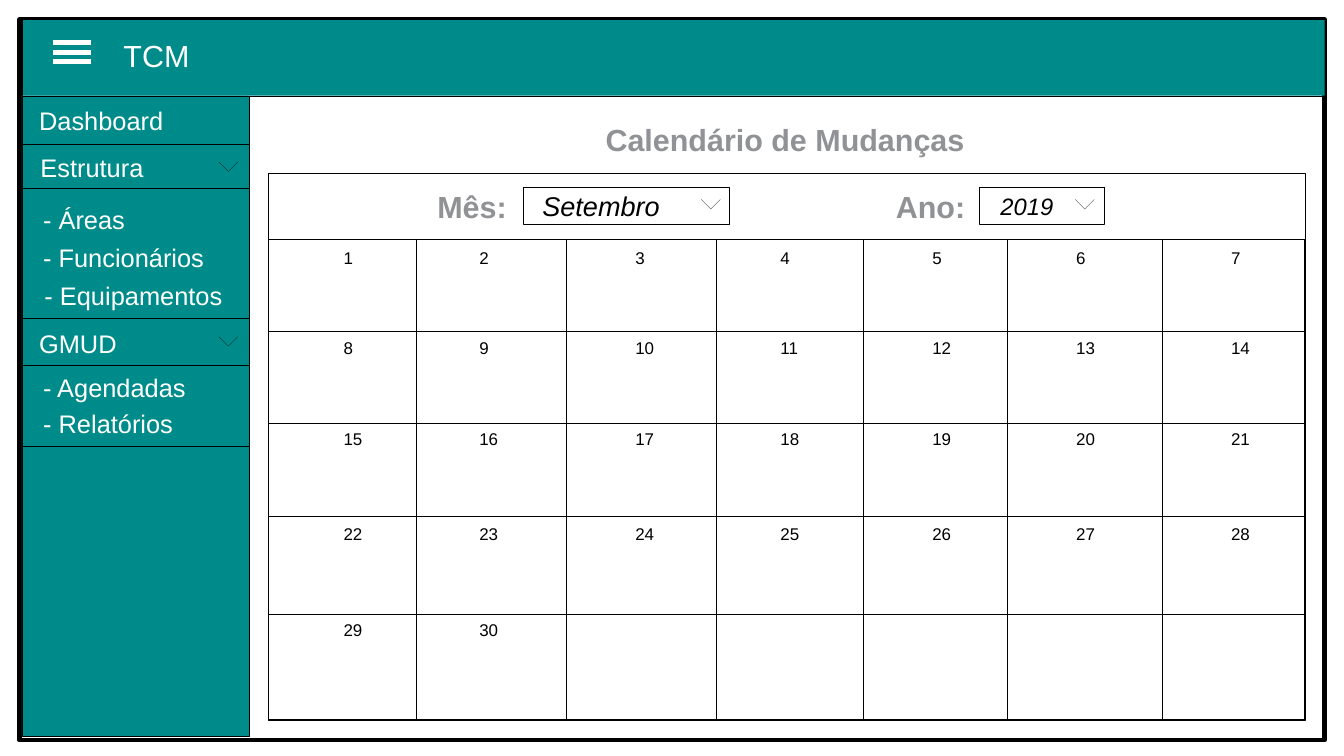
from dataclasses import dataclass

from lxml import etree
from pptx import Presentation
from pptx.dml.color import RGBColor
from pptx.enum import shapes, text
from pptx.oxml import ns
from pptx.util import Pt

TEAL = RGBColor(0x00, 0x8B, 0x8B)
BLACK = RGBColor(0, 0, 0)
WHITE = RGBColor(0xFF, 0xFF, 0xFF)
GREY = RGBColor(0x90, 0x92, 0x95)
FONT = "Arial"
HAIRLINE = 0.1
THICK = 2.83
GRID_LINE = 0.5


@dataclass
class Box:
    x: float
    y: float
    w: float
    h: float
    fill: RGBColor | None = None
    line: float = HAIRLINE


@dataclass
class Label:
    text: str
    x: float
    y: float
    w: float
    size: float = 15
    color: RGBColor = WHITE
    bold: bool = False
    italic: bool = False


@dataclass
class Chevron:
    x: float
    y: float


BOXES = [
    Box(11.5, 11.5, 770.5, 425.5, line=THICK),
    Box(13, 11.5, 769, 45, TEAL),
    Box(13, 56.5, 134.2, 378, TEAL),
    Box(158.4, 102, 612, 323),
    Box(308.9, 110.2, 121.7, 22.3),
    Box(578.2, 110.2, 73.4, 22.3),
]
MENU_DIVIDERS = [85, 110.9, 187.9, 215.3, 263.5]
BURGER_BARS = [25.2, 30.8, 36.2]
LABELS = [
    Label("TCM", 65.8, 18.4, 54, 18),
    Label("Dashboard", 16, 58.5, 90),
    Label("Estrutura", 16.8, 86.5, 78),
    Label("- Áreas", 18.4, 117.2, 66),
    Label("- Funcionários", 18.4, 139.6, 114),
    Label("- Equipamentos", 19.2, 162, 124),
    Label("GMUD", 16, 190, 66),
    Label("- Agendadas", 18.4, 216.2, 102),
    Label("- Relatórios", 18.4, 237.4, 98),
    Label("Calendário de Mudanças", 350.4, 67.9, 234, 18, GREY, bold=True),
    Label("Mês:", 251.1, 107.7, 66.2, 18, GREY, bold=True),
    Label("Ano:", 521.8, 107.7, 66.2, 18, GREY, bold=True),
    Label("Setembro", 313.2, 108.5, 88, 16, BLACK, italic=True),
    Label("2019", 583.6, 110, 50, 14, BLACK, italic=True),
]
CHEVRONS = [
    Chevron(129.2, 95.6),
    Chevron(129.2, 198.8),
    Chevron(414, 117.8),
    Chevron(634.8, 117.8),
]
COLUMN_EDGES = [158.4, 246, 334.5, 422.8, 510, 595, 686, 770.4]
ROW_EDGES = [141.5, 195.6, 249.9, 304.9, 362.7, 424.8]
DAY_LEFTS = [202.8, 283, 375.1, 460.8, 550.4, 635.4, 726.8]
DAY_TOPS = [147.4, 200.6, 253.8, 310, 366.6]
LAST_DAY = 30


def add_box(s, box: Box) -> None:
    sp = s.shapes.add_shape(
        shapes.MSO_SHAPE.RECTANGLE, Pt(box.x), Pt(box.y), Pt(box.w), Pt(box.h)
    )
    sp.shadow.inherit = False
    if box.fill is None:
        sp.fill.background()
    else:
        sp.fill.solid()
        sp.fill.fore_color.rgb = box.fill
    sp.line.color.rgb = BLACK
    sp.line.width = Pt(box.line)


def add_line(
    s, x1: float, y1: float, x2: float, y2: float,
    color: RGBColor = BLACK, width: float = HAIRLINE,
) -> None:
    sp = s.shapes.add_connector(
        shapes.MSO_CONNECTOR.STRAIGHT, Pt(x1), Pt(y1), Pt(x2), Pt(y2)
    )
    sp.line.color.rgb = color
    sp.line.width = Pt(width)
    etree.SubElement(sp._element.spPr, ns.qn("a:effectLst"))


def write(
    tf, content: str, *, size: float, color: RGBColor,
    bold: bool = False, italic: bool = False,
) -> None:
    p = tf.paragraphs[0]
    r = p.add_run()
    r.text = content
    r.font.name = FONT
    r.font.size = Pt(size)
    r.font.color.rgb = color
    r.font.bold = bold
    r.font.italic = italic


def add_label(s, label: Label) -> None:
    height = label.size * 1.15 + 7.2
    sp = s.shapes.add_textbox(Pt(label.x), Pt(label.y), Pt(label.w), Pt(height))
    tf = sp.text_frame
    tf.word_wrap = False
    tf.auto_size = text.MSO_AUTO_SIZE.SHAPE_TO_FIT_TEXT
    write(tf, label.text, size=label.size, color=label.color,
          bold=label.bold, italic=label.italic)


def add_chevron(s, chevron: Chevron) -> None:
    tip_x, tip_y = chevron.x + 5.6, chevron.y + 5.6
    add_line(s, chevron.x, chevron.y, tip_x, tip_y)
    add_line(s, tip_x, tip_y, chevron.x + 11.2, chevron.y)


def add_cell_borders(cell) -> None:
    properties = cell._tc.get_or_add_tcPr()
    for i, side in enumerate(("lnL", "lnR", "lnT", "lnB")):
        ln = etree.Element(ns.qn(f"a:{side}"), w=str(Pt(GRID_LINE)))
        fill = etree.SubElement(ln, ns.qn("a:solidFill"))
        etree.SubElement(fill, ns.qn("a:srgbClr"), val=str(BLACK))
        properties.insert(i, ln)


def add_calendar(s) -> None:
    left, top = COLUMN_EDGES[0], ROW_EDGES[0]
    columns, rows = len(DAY_LEFTS), len(DAY_TOPS)
    table = s.shapes.add_table(
        rows, columns, Pt(left), Pt(top),
        Pt(COLUMN_EDGES[-1] - left), Pt(ROW_EDGES[-1] - top),
    ).table
    table.first_row = table.horz_banding = False
    for i, column in enumerate(table.columns):
        column.width = Pt(COLUMN_EDGES[i + 1] - COLUMN_EDGES[i])
    for i, row in enumerate(table.rows):
        row.height = Pt(ROW_EDGES[i + 1] - ROW_EDGES[i])
    for i, cell in enumerate(table.iter_cells()):
        row, column = divmod(i, columns)
        cell.fill.background()
        cell.margin_left = Pt(DAY_LEFTS[column] - COLUMN_EDGES[column])
        cell.margin_top = Pt(DAY_TOPS[row] - ROW_EDGES[row])
        cell.margin_right = cell.margin_bottom = Pt(0)
        add_cell_borders(cell)
        if i < LAST_DAY:
            write(cell.text_frame, str(i + 1), size=10, color=BLACK)


def main() -> None:
    prs = Presentation()
    prs.slide_width, prs.slide_height = Pt(793.44), Pt(446.4)
    s = prs.slides.add_slide(prs.slide_layouts[6])
    for box in BOXES:
        add_box(s, box)
    for y in BURGER_BARS:
        add_line(s, 31.5, y, 54, y, WHITE, THICK)
    for y in MENU_DIVIDERS:
        add_line(s, 11.5, y, 147.2, y)
    add_calendar(s)
    for label in LABELS:
        add_label(s, label)
    for chevron in CHEVRONS:
        add_chevron(s, chevron)
    prs.save("out.pptx")


if __name__ == "__main__":
    main()
